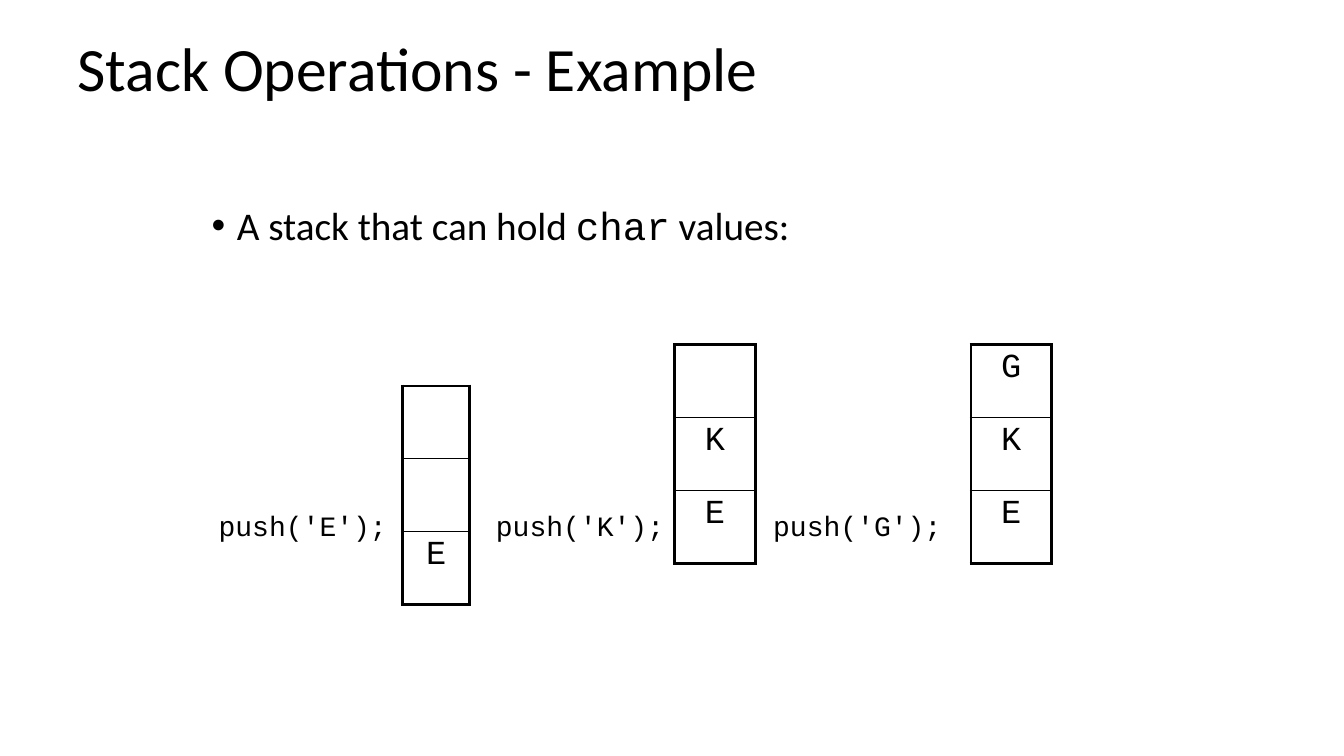
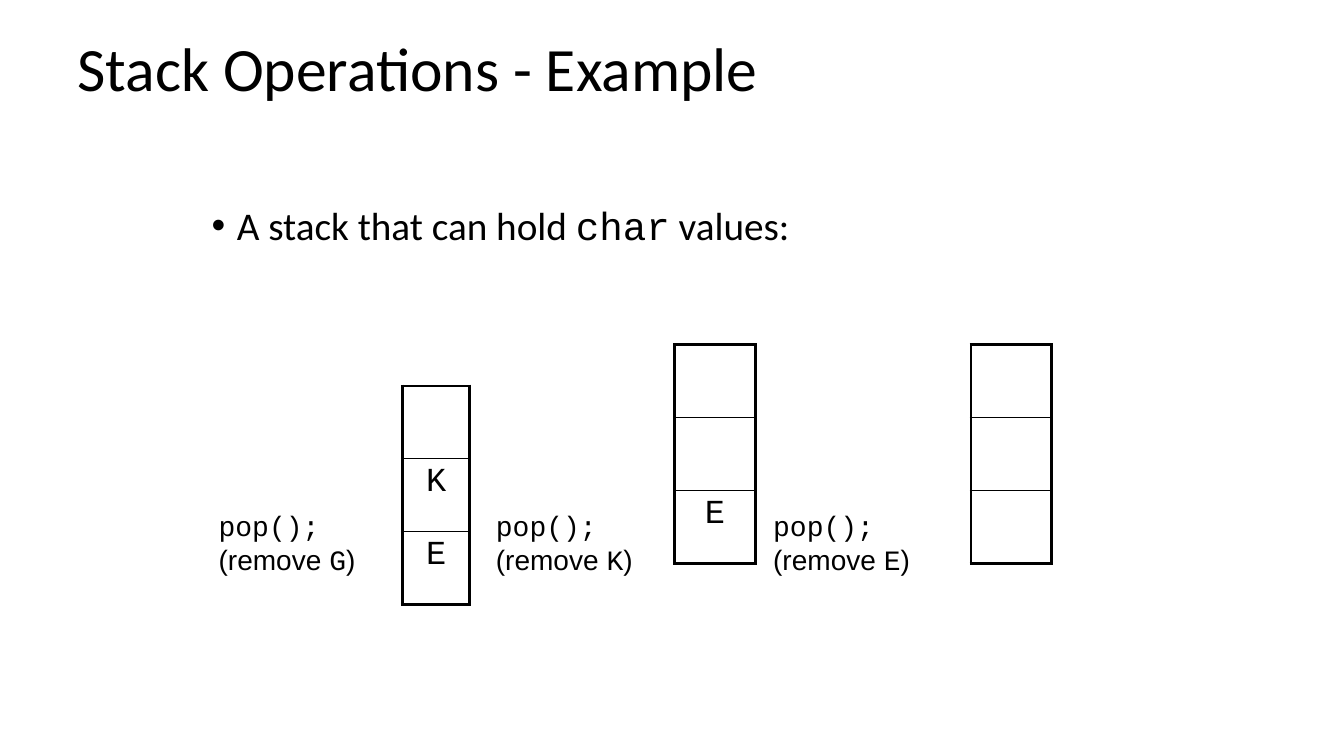
from dataclasses import dataclass
from lxml import etree
from pptx import Presentation
from pptx.dml.color import RGBColor
from pptx.enum.text import MSO_ANCHOR, MSO_AUTO_SIZE, PP_ALIGN
from pptx.oxml.ns import qn
from pptx.util import Inches, Pt

CENTER, LEFT = PP_ALIGN.CENTER, PP_ALIGN.LEFT
TOP, MIDDLE = MSO_ANCHOR.TOP, MSO_ANCHOR.MIDDLE
FIT, FIXED = MSO_AUTO_SIZE.SHAPE_TO_FIT_TEXT, MSO_AUTO_SIZE.NONE


@dataclass(frozen=True)
class Theme:
    ink: str = "000000"
    paper: str = "FFFFFF"
    body: str = "Calibri"
    code: str = "Courier New"
    note: str = "Arial"
    title_size: int = 44
    bullet_size: int = 28
    cell_size: int = 24
    call_size: int = 20
    frame_line: float = 2.25
    inner_line: float = 1


THEME = Theme()
TITLE = [[("Stack Operations - Example", THEME.body)]]
BULLET = [[("A stack that can hold ", THEME.body), ("char", THEME.code), (" values:", THEME.body)]]
PUSHES = [("E", "E"), ("K", "EK"), ("G", "EKG")]
POPS = [("G", "EK"), ("K", "E"), ("E", "")]


def push_call(item):
    return [[(f"push('{item}');", THEME.code)]]


def pop_call(item):
    return [[("pop();", THEME.code)],
            [("(remove ", THEME.note), (item, THEME.code), (")", THEME.note)]]


SLIDES = [(PUSHES, push_call, 1.87), (POPS, pop_call, 1.56)]

WIDTH, HEIGHT = 13.33, 7.5
TITLE_BOX = (0.67, 0.08, 11.11, 1.25)
BULLET_BOX = (2, 2, 8.98, 5)
STACKS = [(3.99, 3.83, 0.67), (6.69, 3.42, 0.8), (9.63, 3.42, 0.8)]
DEPTH, ROW = 3, 0.7225
CALL_LEFT, CALL_STEP, CALL_TOP = 2.07, 2.75, 5
CALL_PADDING, CALL_LINE = 0.1, 0.335


def apply(target, values):
    for name, value in values.items():
        setattr(target, name, value)


def write(frame, lines, size, align=LEFT, **spacing):
    for index, line in enumerate(lines):
        paragraph = frame.paragraphs[0] if index == 0 else frame.add_paragraph()
        apply(paragraph, {"alignment": align, **spacing})
        for words, face in line:
            run = paragraph.add_run()
            run.text = words
            apply(run.font, {"name": face, "size": Pt(size)})
            run.font.color.rgb = RGBColor.from_string(THEME.ink)


def add_text(slide, box, lines, size, frame_format, **spacing):
    frame = slide.shapes.add_textbox(*map(Inches, box)).text_frame
    apply(frame, frame_format)
    write(frame, lines, size, **spacing)
    return frame


def add_bullet(paragraph):
    properties = paragraph._p.get_or_add_pPr()
    for name, inches in (("marL", 0.25), ("indent", -0.25)):
        properties.set(name, str(Inches(inches)))
    for tag, name, value in (("a:buFont", "typeface", THEME.note), ("a:buChar", "char", "•")):
        etree.SubElement(properties, qn(tag)).set(name, value)


def draw_borders(cell, level):
    properties = cell._tc.get_or_add_tcPr()
    frame, inner = THEME.frame_line, THEME.inner_line
    sides = [("a:lnL", frame), ("a:lnR", frame),
             ("a:lnT", frame if level == DEPTH - 1 else inner),
             ("a:lnB", frame if level == 0 else inner)]
    for index, (tag, points) in enumerate(sides):
        line = etree.Element(qn(tag), w=str(Pt(points)))
        fill = etree.SubElement(line, qn("a:solidFill"))
        etree.SubElement(fill, qn("a:srgbClr"), val=THEME.ink)
        properties.insert(index, line)


def add_stack(slide, place, items):
    left, top, width = place
    box = (left, top, width, DEPTH * ROW)
    stack = slide.shapes.add_table(DEPTH, 1, *map(Inches, box)).table
    apply(stack, {"first_row": False, "horz_banding": False})
    for level in range(DEPTH):
        cell = stack.cell(DEPTH - 1 - level, 0)
        cell.fill.background()
        draw_borders(cell, level)
        if level < len(items):
            write(cell.text_frame, [[(items[level], THEME.code)]], THEME.cell_size, CENTER)


deck = Presentation()
apply(deck, {"slide_width": Inches(WIDTH), "slide_height": Inches(HEIGHT)})
for steps, call_lines, call_width in SLIDES:
    slide = deck.slides.add_slide(deck.slide_layouts[6])
    slide.background.fill.solid()
    slide.background.fill.fore_color.rgb = RGBColor.from_string(THEME.paper)
    fixed = {"word_wrap": True, "auto_size": FIXED}
    add_text(slide, TITLE_BOX, TITLE, THEME.title_size,
             {**fixed, "vertical_anchor": MIDDLE}, line_spacing=0.9)
    intro = add_text(slide, BULLET_BOX, BULLET, THEME.bullet_size,
                     {**fixed, "vertical_anchor": TOP}, line_spacing=0.9, space_before=Pt(10))
    add_bullet(intro.paragraphs[0])
    for column, (item, remaining) in enumerate(steps):
        add_stack(slide, STACKS[column], remaining)
        lines = call_lines(item)
        box = (CALL_LEFT + column * CALL_STEP, CALL_TOP, call_width,
               CALL_PADDING + len(lines) * CALL_LINE)
        add_text(slide, box, lines, THEME.call_size, {"word_wrap": False, "auto_size": FIT})
deck.save("out.pptx")
